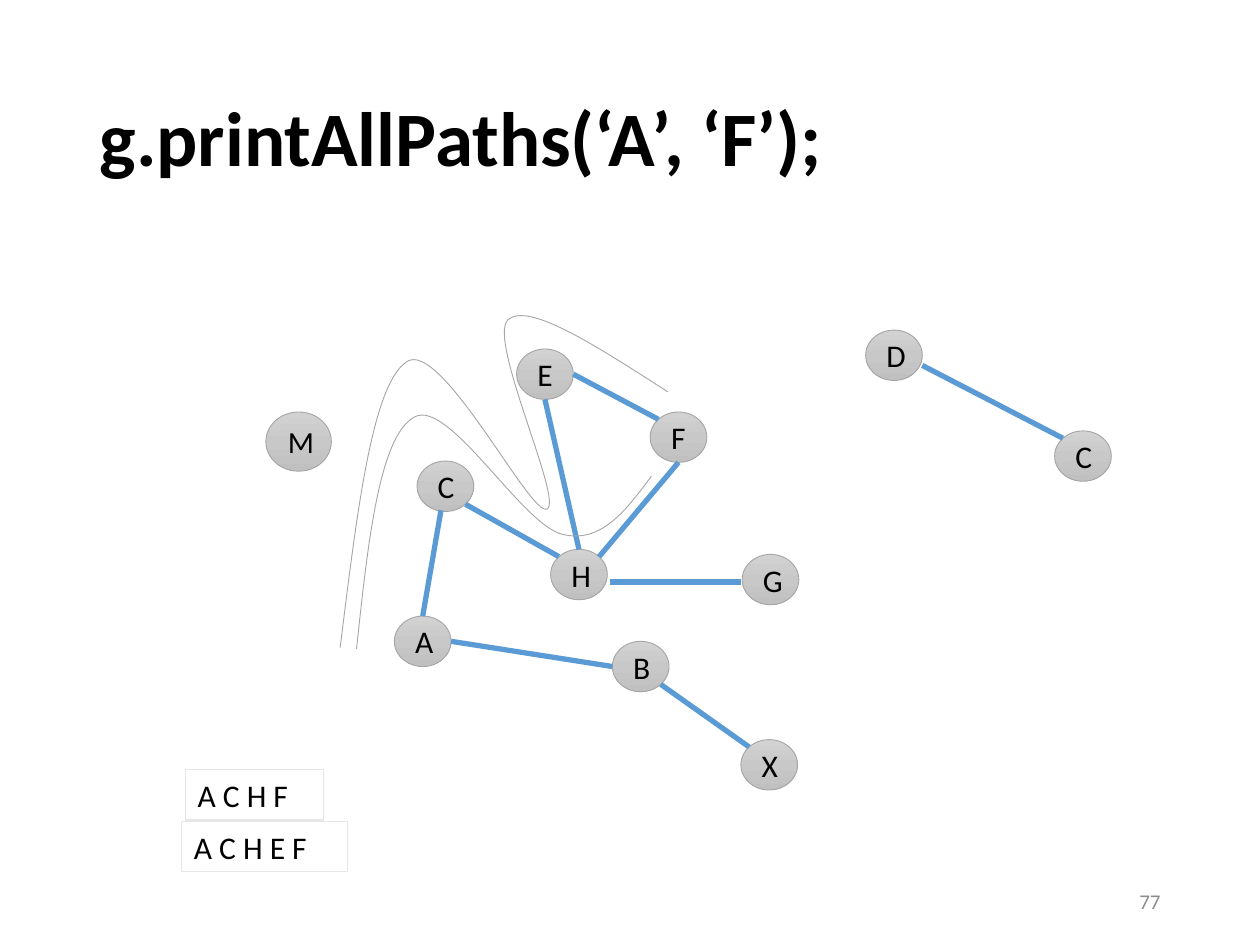
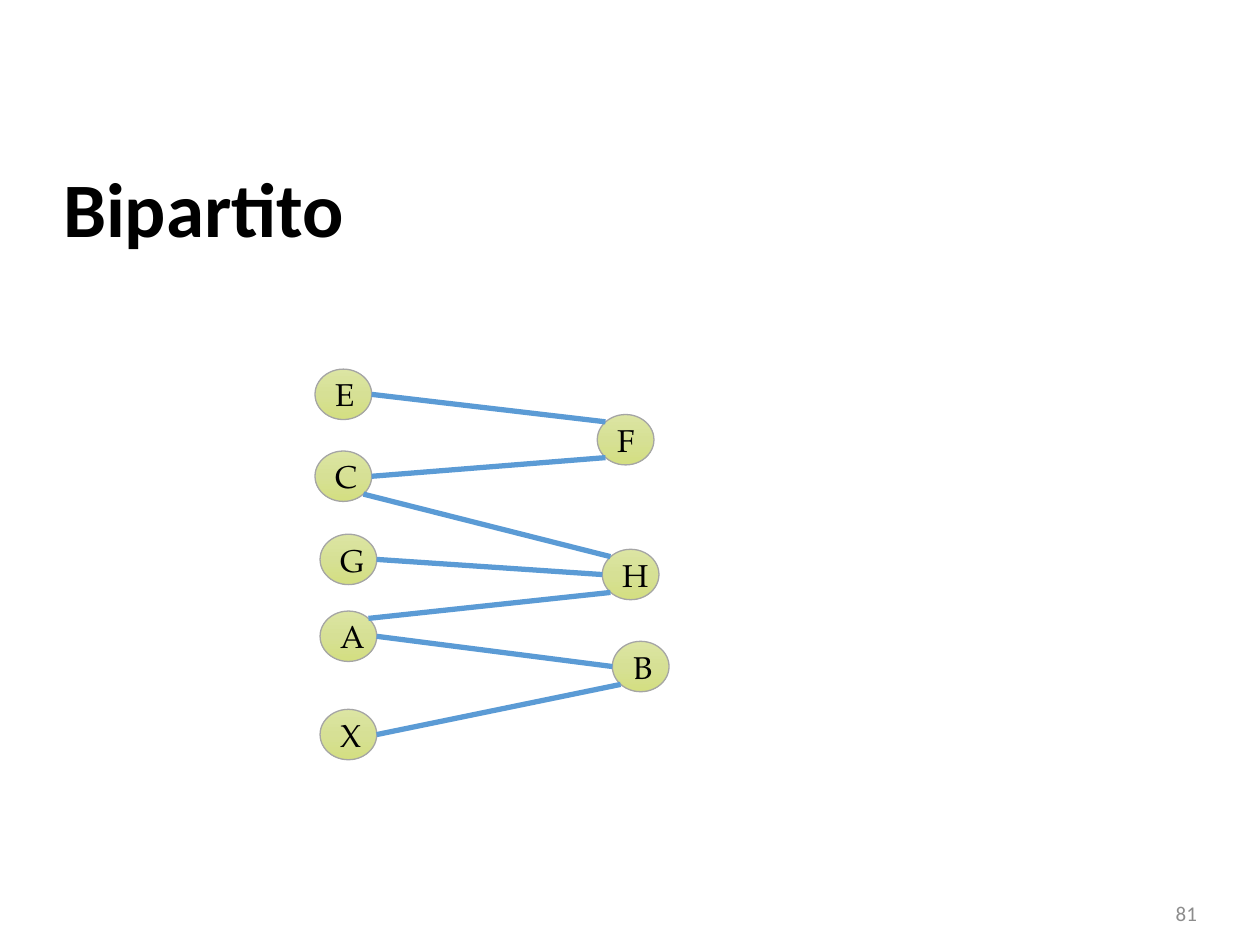
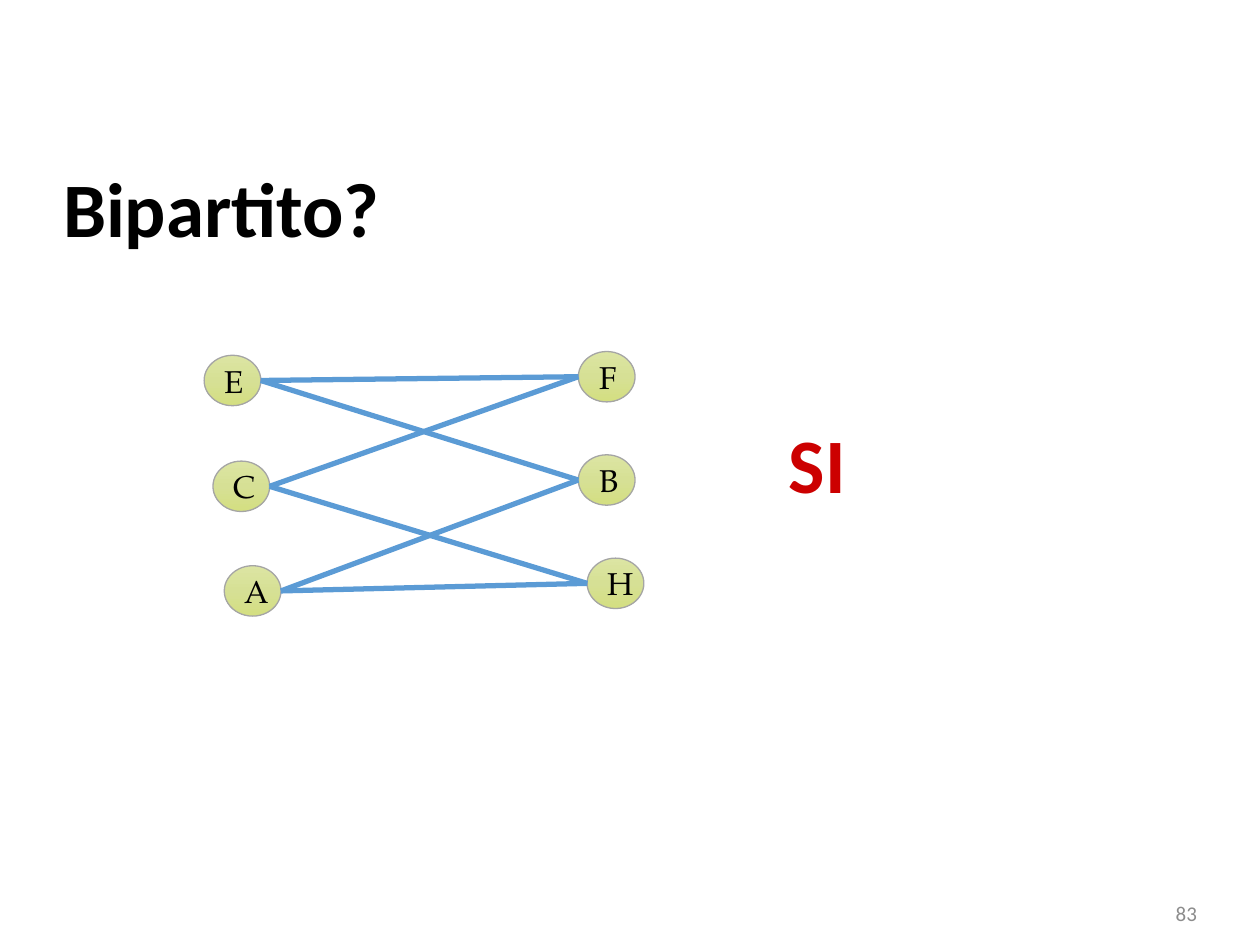
from copy import deepcopy

from lxml import etree
from pptx import Presentation
from pptx.dml.color import RGBColor
from pptx.enum.shapes import MSO_CONNECTOR, MSO_SHAPE
from pptx.enum.text import MSO_ANCHOR, MSO_AUTO_SIZE, PP_ALIGN
from pptx.oxml.ns import qn
from pptx.util import Inches, Pt

LEFT, CENTER, RIGHT = PP_ALIGN.LEFT, PP_ALIGN.CENTER, PP_ALIGN.RIGHT
TOP, MIDDLE, BOTTOM = MSO_ANCHOR.TOP, MSO_ANCHOR.MIDDLE, MSO_ANCHOR.BOTTOM
NO_AUTOFIT = MSO_AUTO_SIZE.NONE
OVAL = MSO_SHAPE.OVAL
STRAIGHT = MSO_CONNECTOR.STRAIGHT
TITLE_ONLY = 5

COLORS = {
    "text": "000000", "answer": "CC0000", "number": "8C8C8C",
    "edge": "5B9BD5", "outline": "A5A5A5", "box": "E7E6E6",
}
GRAY_NODES = ("D2D2D2", "C8C8C8", "C0C0C0")
GREEN_NODES = ("DCE5A3", "D6E095", "D4DF81")
SANS, SERIF = "Calibri", "TeX Gyre Pagella"

# The slide is a grid of 100 columns by 75 rows
COLUMNS, ROWS = 100, 75
NODE_SIZE = (4.5, 4)
DIAGONAL = 0.71
TITLE_INSETS = (0, 0.05, 0, 0)

# Where an edge meets a node, in shares of the node's radii
SITES = {
    "N": (0, -1), "S": (0, 1), "W": (-1, 0), "E": (1, 0),
    "NW": (-DIAGONAL, -DIAGONAL), "NE": (DIAGONAL, -DIAGONAL),
    "SW": (-DIAGONAL, DIAGONAL), "SE": (DIAGONAL, DIAGONAL),
}


def rgb(name):
    return RGBColor.from_string(COLORS[name])


class GraphDeck:
    """Holds the style and the slide being drawn."""

    def __init__(self):
        self.presentation = Presentation()
        self.presentation.slide_width = Inches(10)
        self.presentation.slide_height = Inches(7.5)
        self.column = self.presentation.slide_width / COLUMNS
        self.row = self.presentation.slide_height / ROWS
        self.slide = None
        self.nodes = {}

    def place(self, x, y):
        return round(x * self.column), round(y * self.row)

    def new_slide(self, title, title_box, anchor, insets=None):
        layout = self.presentation.slide_layouts[TITLE_ONLY]
        self.slide = self.presentation.slides.add_slide(layout)
        self.nodes = {}
        shape = self.slide.shapes.title
        shape.left, shape.top = self.place(*title_box[:2])
        shape.width, shape.height = self.place(*title_box[2:])
        self.heading(shape, title, "text", anchor, insets)

    def label(self, shape, text, size, color="text", font=SANS, align=LEFT,
              anchor=MIDDLE, insets=None, bold=False):
        frame = shape.text_frame
        frame.text = text
        frame.word_wrap = True
        frame.auto_size = NO_AUTOFIT
        frame.vertical_anchor = anchor
        if insets:
            (frame.margin_left, frame.margin_top,
             frame.margin_right, frame.margin_bottom) = map(Inches, insets)
        paragraph = frame.paragraphs[0]
        paragraph.alignment = align
        run_font = paragraph.runs[0].font
        run_font.name, run_font.size, run_font.bold = font, Pt(size), bold
        run_font.color.rgb = rgb(color)
        return paragraph

    def heading(self, shape, text, color, anchor, insets):
        paragraph = self.label(shape, text, 44, color, anchor=anchor,
                               insets=insets, bold=True)
        paragraph.line_spacing = 0.9

    def text_box(self, box):
        return self.slide.shapes.add_textbox(*self.place(*box[:2]),
                                             *self.place(*box[2:]))

    def number(self, text, box, anchor, insets=None):
        self.label(self.text_box(box), text, 12, "number", align=RIGHT,
                   anchor=anchor, insets=insets)

    def answer(self, text, box):
        self.heading(self.text_box(box), text, "answer", BOTTOM, TITLE_INSETS)

    def result(self, text, box):
        shape = self.text_box(box)
        shape.line.color.rgb = rgb("box")
        shape.line.width = Pt(0.75)
        self.label(shape, text, 18, anchor=TOP)

    def outline(self, shape, width):
        shape.shadow.inherit = False
        shape.line.color.rgb = rgb("outline")
        shape.line.width = Pt(width)

    def node(self, key, left, top, shades, font, line_width,
             size=NODE_SIZE, text_size=18):
        shape = self.slide.shapes.add_shape(OVAL, *self.place(left, top),
                                            *self.place(*size))
        self.outline(shape, line_width)
        # Three even shades, running downwards
        shape.fill.gradient()
        shape.fill.gradient_angle = 270
        first_stop = next(shape._element.spPr.iter(qn("a:gs")))
        first_stop.addnext(deepcopy(first_stop))
        for index, stop in enumerate(shape.fill.gradient_stops):
            stop.position = index / 2
            stop.color.rgb = RGBColor.from_string(shades[index])
        # A key such as C2 marks a second node with the same letter
        self.label(shape, key[0], text_size, font=font, align=CENTER)
        self.nodes[key] = (left, top)

    def site(self, key, direction):
        left, top = self.nodes[key]
        dx, dy = SITES[direction]
        width, height = NODE_SIZE
        return left + width * (1 + dx) / 2, top + height * (1 + dy) / 2

    def edge(self, start, end):
        line = self.slide.shapes.add_connector(
            STRAIGHT, *self.place(*start), *self.place(*end))
        line.line.color.rgb = rgb("edge")
        line.line.width = Pt(3)
        etree.SubElement(line._element.spPr, qn("a:effectLst"))

    def edges(self, links):
        for link in links:
            start, start_site, end, end_site = link.split()
            self.edge(self.site(start, start_site), self.site(end, end_site))

    def curve(self, start, *segments):
        """Each segment has two control points and an end point."""
        builder = self.slide.shapes.build_freeform(*self.place(*start))
        builder.add_line_segments(
            [self.place(*segment[-1]) for segment in segments], close=False)
        shape = builder.convert_to_shape()
        shape.fill.background()
        self.outline(shape, 0.5)
        # Turn each straight segment into a cubic curve
        straight = list(shape._element.spPr.iter(qn("a:lnTo")))
        for element, segment in zip(straight, segments):
            element.tag = qn("a:cubicBezTo")
            element.remove(element[0])
            for point in segment:
                x, y = self.place(*point)
                etree.SubElement(element, qn("a:pt"), x=str(x - shape.left),
                                 y=str(y - shape.top))


def all_paths_slide(deck):
    deck.new_slide("g.printAllPaths(‘A’, ‘F’);", (6.9, 4, 86.2, 14.5), MIDDLE)
    deck.number("77", (70.6, 69.5, 22.5, 4), MIDDLE)

    # Graph
    style = (GRAY_NODES, SANS, 0.5)
    places = {
        "H": (43.7, 43.6), "F": (51.6, 32.7), "X": (58.8, 58.7),
        "B": (48.6, 50.9), "E": (41, 27.7), "C": (33.1, 36.6),
        "A": (31.3, 48.9), "G": (58.9, 44), "C2": (83.7, 34.2),
        "D": (68.7, 26.2),
    }
    for key, place in places.items():
        deck.node(key, *place, *style)
    deck.node("M", 21.1, 32.7, *style, size=(5.2, 4.7), text_size=17.5)
    deck.edges(["H NE F S", "E S H N", "H NW C SE", "F NW E E",
                "X NW B SE", "B W A E"])

    # Edges that end just beside a node's usual sites
    deck.edge(deck.site("A", "N"), (35, 40.5))
    deck.edge((58.8, 46.2), (48.4, 46.2))
    deck.edge(deck.site("C2", "NW"), (73.2, 29))

    # The two paths from A to F
    deck.curve((28.3, 51.5),
               ((29.2, 43.1), (30.1, 34.6), (32.9, 33.1)),
               ((35.6, 31.6), (41.4, 41.6), (44.6, 42.4)),
               ((47.7, 43.2), (49.7, 40.5), (51.7, 37.8)))
    deck.curve((27, 51.4),
               ((28.3, 41), (29.5, 30.5), (32.3, 28.7)),
               ((35, 26.9), (42.1, 41), (43.4, 40.4)),
               ((44.8, 39.9), (38.7, 27), (40.3, 25.4)),
               ((41.9, 23.9), (47.4, 27.5), (53, 31.1)))
    deck.result("A C H F", (14.7, 61.1, 11, 4))
    deck.result("A C H E F", (14.4, 65.2, 13.2, 4))


def bipartite_slide(deck, title, number, places, links):
    deck.new_slide(title, (5, 7.7, 90, 12.5), BOTTOM, TITLE_INSETS)
    deck.number(number, (86.7, 69.5, 8.3, 4), BOTTOM, (0, 0, 0, 0))
    for key, place in places.items():
        deck.node(key, *place, GREEN_NODES, SERIF, 0.75)
    deck.edges(links)


def main():
    deck = GraphDeck()
    all_paths_slide(deck)

    bipartite_slide(
        deck, "Bipartito", "81",
        {"G": (25.4, 42.4), "H": (47.8, 43.6), "F": (47.4, 32.9),
         "X": (25.4, 56.3), "B": (48.6, 50.9), "E": (25, 29.3),
         "C": (25, 35.8), "A": (25.4, 48.5)},
        ["H W G E", "C E F SW", "H NW C SE", "F NW E E",
         "X E B SW", "A NE H SW", "B W A E"])

    bipartite_slide(
        deck, "Bipartito?", "83",
        {"H": (46.6, 44.3), "F": (45.9, 27.9), "B": (45.9, 36.1),
         "E": (16.2, 28.2), "C": (16.9, 36.6), "A": (17.8, 44.9)},
        ["C E F W", "H W C E", "F W E E", "E E B W", "A E H W", "B W A E"])
    deck.answer("SI", (62.6, 28, 34, 12.5))

    deck.presentation.save("out.pptx")


if __name__ == "__main__":
    main()
